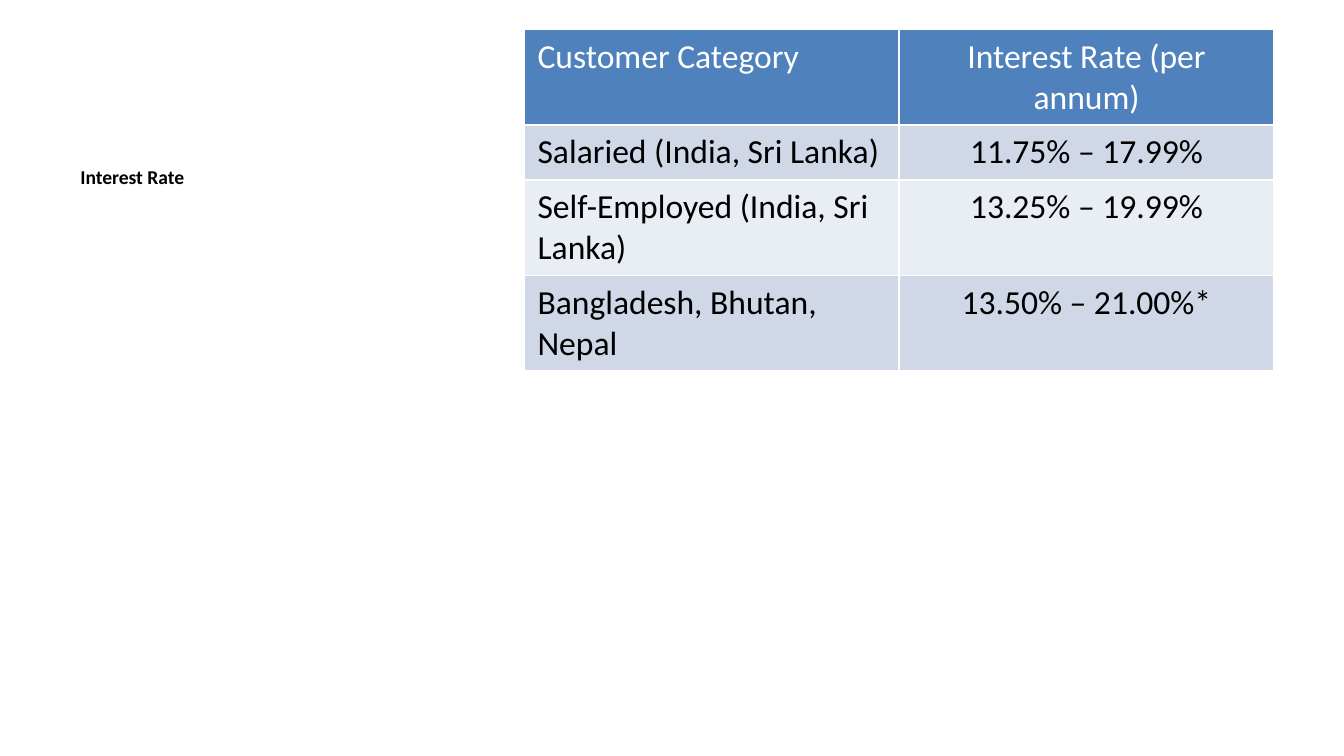
from lxml import etree
from pptx import Presentation
from pptx.dml.color import RGBColor
from pptx.enum.text import PP_ALIGN
from pptx.oxml.ns import qn
from pptx.util import Inches, Pt

LEFT, CENTER = PP_ALIGN.LEFT, PP_ALIGN.CENTER
WHITE = RGBColor(0xFF, 0xFF, 0xFF)
BLACK = RGBColor(0, 0, 0)
BLUE = RGBColor(0x4F, 0x81, 0xBD)
BANDS = [RGBColor(0xE9, 0xED, 0xF4), RGBColor(0xD0, 0xD8, 0xE8)]
FONT = "Calibri"
EDGES = ("a:lnL", "a:lnR", "a:lnT", "a:lnB")

RATES = [
    ("Customer Category", "Interest Rate (per annum)"),
    ("Salaried (India, Sri Lanka)", "11.75% – 17.99%"),
    ("Self-Employed (India, Sri Lanka)", "13.25% – 19.99%"),
    ("Bangladesh, Bhutan, Nepal", "13.50% – 21.00%*"),
]
HEIGHTS = [0.71, 0.41, 0.71, 0.71]
COL = 2.79


def style(para, size, color, bold, align):
    para.alignment = align
    font = para.runs[0].font
    font.name, font.size, font.bold = FONT, Pt(size), bold
    font.color.rgb = color


def rule(cell):
    """Draw thin white lines around a cell."""
    props = cell._tc.get_or_add_tcPr()
    for tag in EDGES:
        line = etree.SubElement(props, qn(tag), w=str(Pt(1)))
        fill = etree.SubElement(line, qn("a:solidFill"))
        etree.SubElement(fill, qn("a:srgbClr"), val=str(WHITE))


deck = Presentation()
deck.slide_width = Inches(10)
deck.slide_height = deck.slide_width * 9 // 16
slide = deck.slides.add_slide(deck.slide_layouts[6])

# Heading on the left
box = slide.shapes.add_textbox(Inches(0.5), Inches(1.18), Inches(3.29), Inches(3.85))
frame = box.text_frame
frame.word_wrap = True
frame.text = "Interest Rate"
style(frame.paragraphs[0], 10.5, BLACK, True, LEFT)

# Rate table on the right
table = slide.shapes.add_table(
    len(RATES), 2, Inches(3.9), Inches(0.22), Inches(2 * COL), Inches(sum(HEIGHTS))
).table
for col in table.columns:
    col.width = Inches(COL)
for r, (texts, height) in enumerate(zip(RATES, HEIGHTS)):
    table.rows[r].height = Inches(height)
    head = r == 0
    for c, text in enumerate(texts):
        cell = table.cell(r, c)
        rule(cell)
        cell.fill.solid()
        cell.fill.fore_color.rgb = BLUE if head else BANDS[r % 2]
        cell.text_frame.text = text
        style(cell.text_frame.paragraphs[0], 18, WHITE if head else BLACK,
              False, CENTER if c else LEFT)

deck.save("out.pptx")
